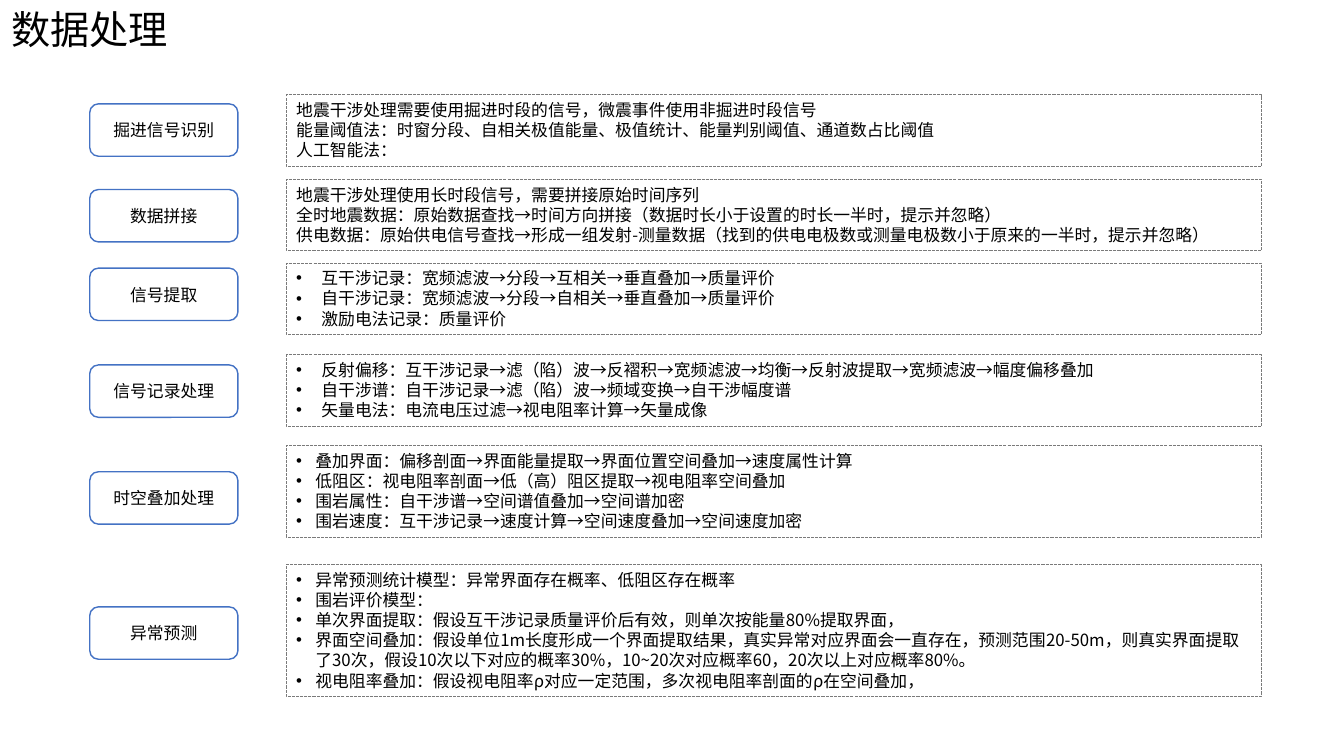
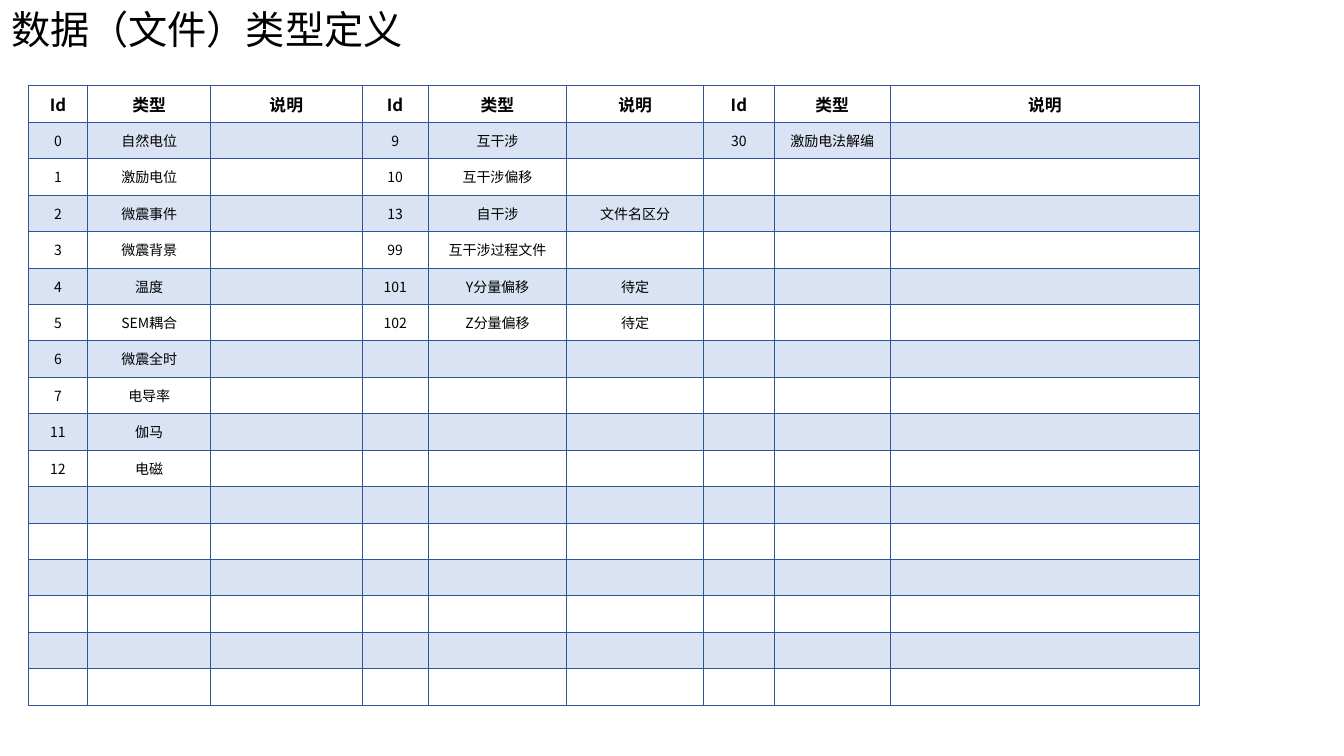
from lxml import etree
from pptx import Presentation
from pptx.dml.color import RGBColor
from pptx.enum import dml, shapes, text
from pptx.oxml import ns
from pptx.util import Inches, Pt

FONT = "Noto Sans CJK SC"
BLACK = RGBColor(0x00, 0x00, 0x00)
WHITE = RGBColor(0xFF, 0xFF, 0xFF)
BLUE = RGBColor(0x44, 0x72, 0xC4)
BAND = RGBColor(0xDA, 0xE3, 0xF3)
GRID = RGBColor(0x2F, 0x55, 0x97)
GREY = RGBColor(0x7A, 0x7A, 0x7A)

LINE = 0.2  # height of one text line in a detail box, inches

# step, top of label, top of detail box, bullet indent, text lines, paragraphs
STEPS = [
    ("掘进信号识别", 1.03, 0.94, 0, 3, [
        "地震干涉处理需要使用掘进时段的信号，微震事件使用非掘进时段信号",
        "能量阈值法：时窗分段、自相关极值能量、极值统计、能量判别阈值、通道数占比阈值",
        "人工智能法："]),
    ("数据拼接", 1.88, 1.78, 0, 3, [
        "地震干涉处理使用长时段信号，需要拼接原始时间序列",
        "全时地震数据：原始数据查找→时间方向拼接（数据时长小于设置的时长一半时，提示并忽略）",
        "供电数据：原始供电信号查找→形成一组发射-测量数据"
        "（找到的供电电极数或测量电极数小于原来的一半时，提示并忽略）"]),
    ("信号提取", 2.66, 2.61, 0.25, 3, [
        "互干涉记录：宽频滤波→分段→互相关→垂直叠加→质量评价",
        "自干涉记录：宽频滤波→分段→自相关→垂直叠加→质量评价",
        "激励电法记录：质量评价"]),
    ("信号记录处理", 3.62, 3.52, 0.25, 3, [
        "反射偏移：互干涉记录→滤（陷）波→反褶积→宽频滤波→均衡→反射波提取→宽频滤波→幅度偏移叠加",
        "自干涉谱：自干涉记录→滤（陷）波→频域变换→自干涉幅度谱",
        "矢量电法：电流电压过滤→视电阻率计算→矢量成像"]),
    ("时空叠加处理", 4.68, 4.42, 0.19, 4, [
        "叠加界面：偏移剖面→界面能量提取→界面位置空间叠加→速度属性计算",
        "低阻区：视电阻率剖面→低（高）阻区提取→视电阻率空间叠加",
        "围岩属性：自干涉谱→空间谱值叠加→空间谱加密",
        "围岩速度：互干涉记录→速度计算→空间速度叠加→空间速度加密"]),
    ("异常预测", 6.02, 5.6, 0.19, 6, [
        "异常预测统计模型：异常界面存在概率、低阻区存在概率",
        "围岩评价模型：",
        "单次界面提取：假设互干涉记录质量评价后有效，则单次按能量80%提取界面，",
        "界面空间叠加：假设单位1m长度形成一个界面提取结果，真实异常对应界面会一直存在，"
        "预测范围20-50m，则真实界面提取了30次，假设10次以下对应的概率30%，"
        "10~20次对应概率60，20次以上对应概率80%。",
        "视电阻率叠加：假设视电阻率ρ对应一定范围，多次视电阻率剖面的ρ在空间叠加，"]),
]

HEADER = ("Id", "类型", "说明")
# One list for each group of three columns
TYPE_GROUPS = [
    [("0", "自然电位", ""), ("1", "激励电位", ""), ("2", "微震事件", ""),
     ("3", "微震背景", ""), ("4", "温度", ""), ("5", "SEM耦合", ""),
     ("6", "微震全时", ""), ("7", "电导率", ""), ("11", "伽马", ""),
     ("12", "电磁", "")],
    [("9", "互干涉", ""), ("10", "互干涉偏移", ""), ("13", "自干涉", "文件名区分"),
     ("99", "互干涉过程文件", ""), ("101", "Y分量偏移", "待定"),
     ("102", "Z分量偏移", "待定")],
    [("30", "激励电法解编", "")],
]
COL_WIDTHS = [0.59, 1.22, 1.5, 0.66, 1.37, 1.36, 0.7, 1.15, 3.07]
ROW_COUNT = 17
TABLE_HEIGHT = 6.15


def add_run(p, content, size, **extra):
    r = p.add_run()
    r.text = content
    for name, value in {"name": FONT, "size": Pt(size), **extra}.items():
        setattr(r.font, name, value)
    r.font.color.rgb = BLACK
    etree.SubElement(r.font._element, ns.qn("a:ea"), typeface=FONT)


def add_slide(prs, title, width):
    slide = prs.slides.add_slide(prs.slide_layouts[5])
    sp = slide.shapes.title
    sp.left, sp.top, sp.width, sp.height = map(Inches, (0.01, 0, width, 0.57))
    tf = sp.text_frame
    for name, value in {"margin_top": 0, "margin_bottom": 0, "word_wrap": True,
                        "auto_size": text.MSO_AUTO_SIZE.NONE,
                        "vertical_anchor": text.MSO_ANCHOR.MIDDLE}.items():
        setattr(tf, name, value)
    p = tf.paragraphs[0]
    p.alignment = text.PP_ALIGN.LEFT
    add_run(p, title, 28)
    return slide


def add_box(slide, kind, place, line_color, line_width, anchor):
    sp = slide.shapes.add_shape(kind, *map(Inches, place))
    sp.shadow.inherit = False
    sp.line.color.rgb = line_color
    sp.line.width = Pt(line_width)
    sp.text_frame.word_wrap = True
    sp.text_frame.vertical_anchor = anchor
    return sp


def add_label(slide, name, top):
    sp = add_box(slide, shapes.MSO_SHAPE.ROUNDED_RECTANGLE,
                 (0.89, top, 1.47, 0.52), BLUE, 1, text.MSO_ANCHOR.MIDDLE)
    sp.fill.solid()
    sp.fill.fore_color.rgb = WHITE
    p = sp.text_frame.paragraphs[0]
    p.alignment = text.PP_ALIGN.CENTER
    add_run(p, name, 12)


def add_details(slide, top, indent, line_count, paragraphs):
    sp = add_box(slide, shapes.MSO_SHAPE.RECTANGLE,
                 (2.84, top, 9.67, 0.11 + line_count * LINE),
                 GREY, 0.75, text.MSO_ANCHOR.TOP)
    sp.fill.background()
    # SQUARE_DOT is the sysDash preset's public neighbour; ROUND_DOT is sysDot
    sp.line.dash_style = dml.MSO_LINE.SQUARE_DOT
    tf = sp.text_frame
    for i, content in enumerate(paragraphs):
        p = tf.add_paragraph() if i else tf.paragraphs[0]
        p.alignment = text.PP_ALIGN.LEFT
        p.line_spacing = Inches(LINE)
        if indent:
            add_bullet(p, indent)
        add_run(p, content, 12)


def add_bullet(p, indent):
    pPr = p._p.get_or_add_pPr()
    pPr.set("marL", str(Inches(indent)))
    pPr.set("indent", str(-Inches(indent)))
    etree.SubElement(pPr, ns.qn("a:buFont"), typeface="Arial")
    etree.SubElement(pPr, ns.qn("a:buChar"), char="•")


def add_borders(cell):
    tcPr = cell._tc.get_or_add_tcPr()
    for side in ("lnL", "lnR", "lnT", "lnB"):
        ln = etree.SubElement(tcPr, ns.qn(f"a:{side}"), w=str(Pt(0.5)))
        fill = etree.SubElement(ln, ns.qn("a:solidFill"))
        etree.SubElement(fill, ns.qn("a:srgbClr"), val=str(GRID))


def fill_cell(cell, content, row):
    add_borders(cell)
    if row % 2:
        cell.fill.solid()
        cell.fill.fore_color.rgb = BAND
    else:
        cell.fill.background()
    cell.vertical_anchor = text.MSO_ANCHOR.MIDDLE
    p = cell.text_frame.paragraphs[0]
    p.alignment = text.PP_ALIGN.CENTER
    if content:
        add_run(p, content, 10 if row else 12, bold=row == 0)
    else:  # keeps an empty row from growing
        etree.SubElement(p._p, ns.qn("a:endParaRPr"), sz="1000")


def add_type_table(slide):
    frame = slide.shapes.add_table(
        ROW_COUNT, len(COL_WIDTHS), Inches(0.28), Inches(0.85),
        Inches(sum(COL_WIDTHS)), Inches(TABLE_HEIGHT))
    table = frame.table
    table.first_row = table.horz_banding = False
    for column, width in zip(table.columns, COL_WIDTHS):
        column.width = Inches(width)
    for row in table.rows:
        row.height = Inches(TABLE_HEIGHT / ROW_COUNT)
    for g, entries in enumerate(TYPE_GROUPS):
        blanks = [("", "", "")] * (ROW_COUNT - 1 - len(entries))
        for i, entry in enumerate([HEADER] + entries + blanks):
            for j, content in enumerate(entry):
                fill_cell(table.cell(i, g * len(HEADER) + j), content, i)


def main():
    prs = Presentation()
    prs.slide_width, prs.slide_height = Inches(13.33), Inches(7.5)

    slide = add_slide(prs, "数据处理", 4.84)
    for name, label_top, box_top, indent, line_count, paragraphs in STEPS:
        add_label(slide, name, label_top)
        add_details(slide, box_top, indent, line_count, paragraphs)

    add_type_table(add_slide(prs, "数据（文件）类型定义", 10.84))
    prs.save("out.pptx")


if __name__ == "__main__":
    main()
